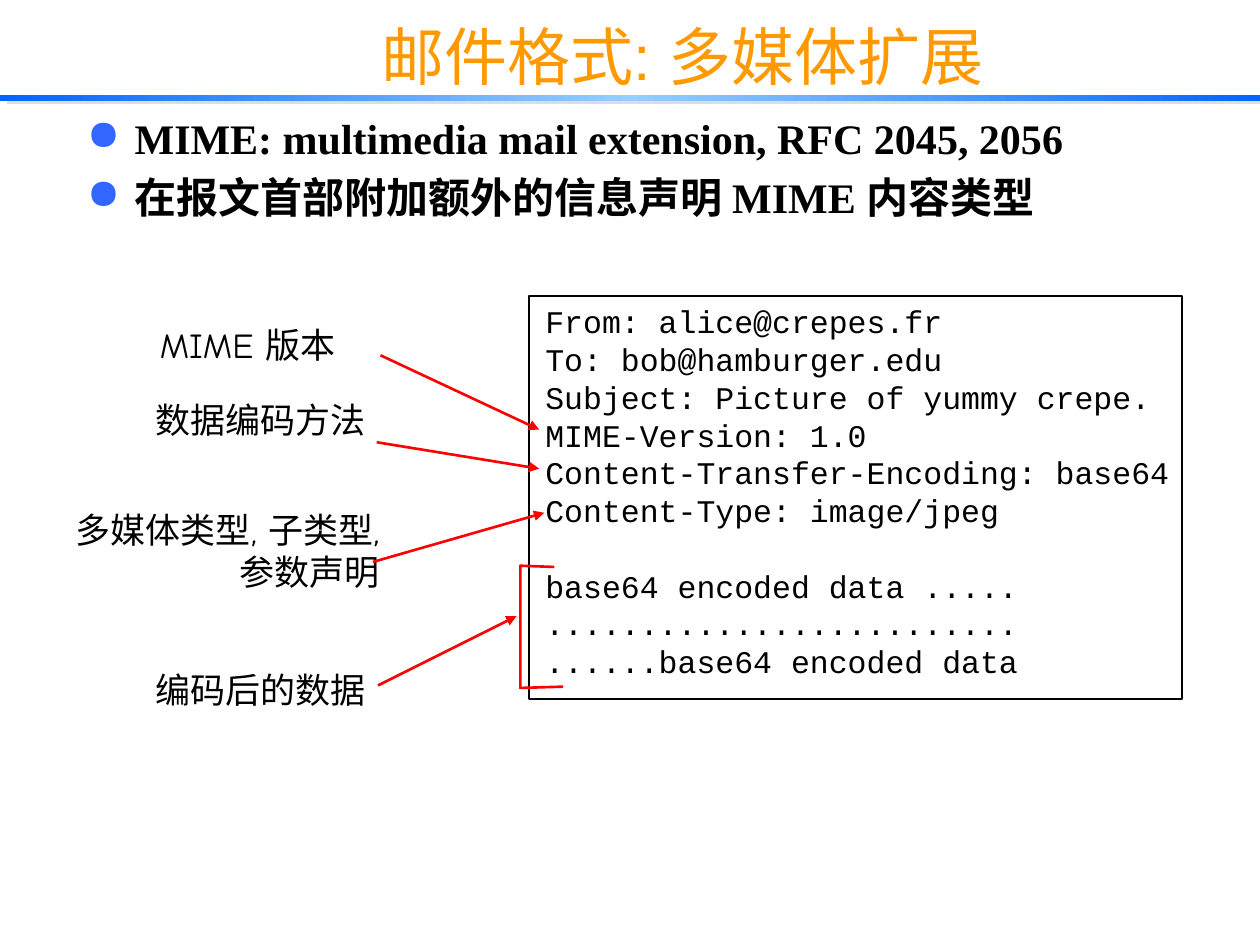
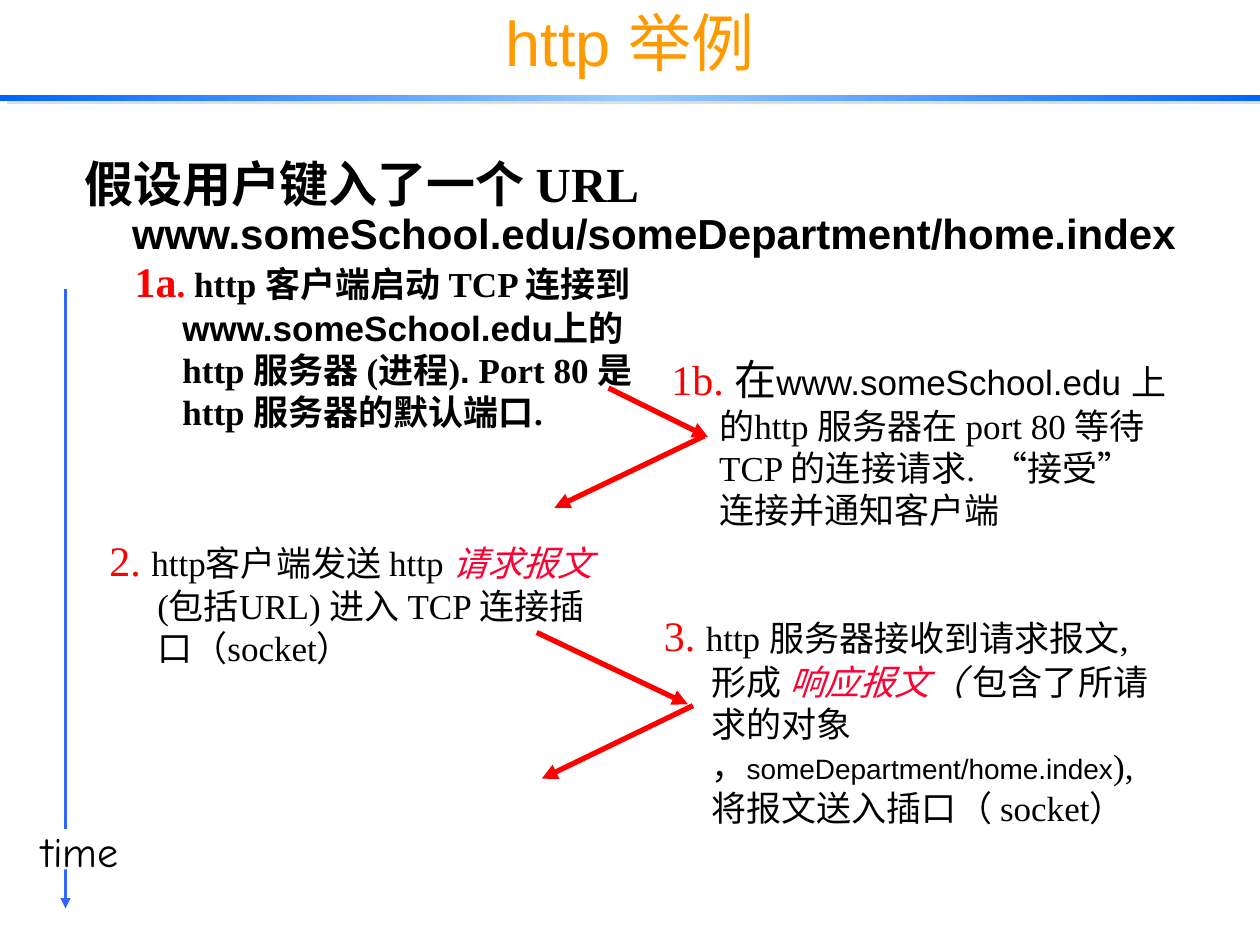
"""Build two lecture slides on MIME mail extensions and an HTTP exchange."""
import copy

import lxml.etree
import pptx
import pptx.dml.color
import pptx.enum.shapes
import pptx.enum.text
import pptx.oxml.ns
import pptx.util

BLACK = pptx.dml.color.RGBColor(0x00, 0x00, 0x00)
WHITE = pptx.dml.color.RGBColor(0xFF, 0xFF, 0xFF)
ORANGE = pptx.dml.color.RGBColor(0xFF, 0x99, 0x00)
RED = pptx.dml.color.RGBColor(0xFF, 0x00, 0x00)
CRIMSON = pptx.dml.color.RGBColor(0xFF, 0x00, 0x33)
BLUE = pptx.dml.color.RGBColor(0x33, 0x66, 0xFF)
BAND_BLUE = pptx.dml.color.RGBColor(0x00, 0x66, 0xFF)
BAND_LIGHT = pptx.dml.color.RGBColor(0x99, 0xCC, 0xFF)
BAND_SHADOW = pptx.dml.color.RGBColor(0xDD, 0xDD, 0xDD)

SANS, SERIF, MONO, COMIC = "Arial", "Times New Roman", "Courier New", "Comic Neue"
LEFT, CENTER, RIGHT = (
    pptx.enum.text.PP_ALIGN.LEFT,
    pptx.enum.text.PP_ALIGN.CENTER,
    pptx.enum.text.PP_ALIGN.RIGHT,
)
RECTANGLE = pptx.enum.shapes.MSO_SHAPE.RECTANGLE
HANGING = pptx.util.Inches(0.38)
SHADOW = (
    '<a:effectLst xmlns:a="http://schemas.openxmlformats.org/drawingml/2006/main">'
    '<a:outerShdw blurRad="0" dist="{}" dir="{}" algn="ctr" rotWithShape="0">'
    '<a:srgbClr val="{}"/></a:outerShdw></a:effectLst>'
)

presentation = pptx.Presentation()
presentation.slide_width = pptx.util.Inches(10)
presentation.slide_height = pptx.util.Inches(7.5)
COLUMN = presentation.slide_width / 100
ROW = presentation.slide_height / 75


def write_text(slide, box, paragraphs, align=LEFT, wrap=True, middle=False, hanging=False,
               bullet=None, before=0, spacing=None, shadow=False, **style):
    """Add a text box; each run's changes of style carry on to the runs after it."""
    left, top, width, height = box
    shape = slide.shapes.add_textbox(
        round(left * COLUMN), round(top * ROW), round(width * COLUMN), round(height * ROW))
    frame = shape.text_frame
    frame.word_wrap = wrap
    if middle:
        frame.vertical_anchor = pptx.enum.text.MSO_ANCHOR.MIDDLE
    for index, runs in enumerate(paragraphs):
        paragraph = frame.paragraphs[0] if index == 0 else frame.add_paragraph()
        paragraph.alignment = align
        paragraph.space_before = pptx.util.Pt(before)
        if spacing:
            paragraph.line_spacing = spacing
        properties = paragraph._p.get_or_add_pPr()
        if hanging:
            properties.set("marL", str(HANGING))
            properties.set("indent", str(-HANGING))
        if bullet:
            color = lxml.etree.SubElement(properties, pptx.oxml.ns.qn("a:buClr"))
            lxml.etree.SubElement(color, pptx.oxml.ns.qn("a:srgbClr"), val=str(BLUE))
            lxml.etree.SubElement(properties, pptx.oxml.ns.qn("a:buChar"), char=bullet)
        current = {"color": BLACK, "bold": False, "italic": False, **style}
        for text, changes in [(runs, {})] if isinstance(runs, str) else runs:
            current.update(changes)
            run = paragraph.add_run()
            run.text = text
            run.font.size = pptx.util.Pt(current["size"])
            run.font.name = current["font"]
            run.font.bold = current["bold"]
            run.font.italic = current["italic"]
            run.font.color.rgb = current["color"]
            if shadow:
                latin = run._r.rPr.find(pptx.oxml.ns.qn("a:latin"))
                latin.addprevious(lxml.etree.fromstring(SHADOW.format(25400, 2700000, BLACK)))
    return shape


def draw_arrow(slide, start, end, color, width):
    """Add a straight line with an arrowhead at its end."""
    connector = slide.shapes.add_connector(
        pptx.enum.shapes.MSO_CONNECTOR.STRAIGHT,
        round(start[0] * COLUMN), round(start[1] * ROW),
        round(end[0] * COLUMN), round(end[1] * ROW))
    connector.line.color.rgb = color
    connector.line.width = pptx.util.Pt(width)
    properties = connector._element.spPr
    outline = properties.find(pptx.oxml.ns.qn("a:ln"))
    lxml.etree.SubElement(outline, pptx.oxml.ns.qn("a:tailEnd"), type="triangle")
    lxml.etree.SubElement(properties, pptx.oxml.ns.qn("a:effectLst"))


titles = [
    ("邮件格式: 多媒体扩展", (8.3, -1.9, 91.7, 12.5)),
    ("http 举例", (7.9, 0.1, 84.2, 6.3)),
]
slides = []
for title, box in titles:
    slide = presentation.slides.add_slide(presentation.slide_layouts[6])
    band = slide.shapes.add_shape(
        RECTANGLE, 0, round(7.5 * ROW), presentation.slide_width, round(0.5 * ROW))
    band.line.fill.background()
    band.fill.gradient()
    band.fill.gradient_angle = 0
    stop_list = band._element.spPr.find(".//" + pptx.oxml.ns.qn("a:gsLst"))
    stop_list.insert(1, copy.deepcopy(stop_list[0]))
    for stop, position, color in zip(
            band.fill.gradient_stops, (0, 0.5, 1), (BAND_BLUE, BAND_LIGHT, BAND_BLUE)):
        stop.position = position
        stop.color.rgb = color
    band._element.spPr.append(
        lxml.etree.fromstring(SHADOW.format(pptx.util.Pt(4.5), 1620000, BAND_SHADOW)))
    write_text(slide, box, [title], align=CENTER, middle=True, shadow=True,
               size=36, font=SANS, color=ORANGE)
    slides.append(slide)
mime_slide, http_slide = slides

write_text(
    mime_slide, (5.9, 8.4, 80.1, 50.8),
    ["MIME: multimedia mail extension, RFC 2045, 2056",
     "在报文首部附加额外的信息声明 MIME 内容类型"],
    hanging=True, bullet="●", before=5, size=24, font=SERIF, bold=True)

message = write_text(
    mime_slide, (42.3, 23.5, 54.4, 34),
    ["From: alice@crepes.fr",
     "To: bob@hamburger.edu",
     "Subject: Picture of yummy crepe.",
     "MIME-Version: 1.0",
     "Content-Transfer-Encoding: base64",
     "Content-Type: image/jpeg",
     "base64 encoded data .....",
     ".........................",
     "......base64 encoded data"],
    size=18, font=MONO)
message.text_frame.paragraphs[6].space_before = pptx.util.Pt(21.5)

frame = mime_slide.shapes.add_shape(
    RECTANGLE, round(42 * COLUMN), round(23.5 * ROW), round(51.8 * COLUMN), round(32 * ROW))
frame.shadow.inherit = False
frame.fill.background()
frame.line.color.rgb = BLACK
frame.line.width = pptx.util.Pt(1)

labels = [
    ((2.8, 39.9, 28.3, 7.7), RIGHT, True,
     ["多媒体类型, 子类型,", [("参数", {}), ("声明", {"font": SERIF})]]),
    ((11.2, 31.1, 18.8, 4.3), RIGHT, False, ["数据编码方法"]),
    ((11.2, 25.2, 16.9, 4.3), CENTER, False, ["MIME 版本"]),
    ((11.3, 52.6, 18.8, 4.3), CENTER, False, ["编码后的数据"]),
]
for box, align, wrap, paragraphs in labels:
    write_text(mime_slide, box, paragraphs, align=align, wrap=wrap, size=20, font=COMIC)

for start, end in [
    ((30.2, 28.2), (42.8, 34.1)),
    ((29.9, 35.1), (42.8, 37.2)),
    ((29.6, 44.6), (43.2, 40.7)),
    ((30, 54.4), (41, 48.9)),
]:
    draw_arrow(mime_slide, start, end, RED, 1.5)

bracket_points = [(round(x * COLUMN), round(y * ROW))
                  for x, y in [(44, 45), (41.3, 44.9), (41.3, 54.6), (44.7, 54.5)]]
builder = mime_slide.shapes.build_freeform(*bracket_points[0])
builder.add_line_segments(bracket_points[1:], close=False)
bracket = builder.convert_to_shape()
bracket.shadow.inherit = False
bracket.fill.background()
bracket.line.color.rgb = RED
bracket.line.width = pptx.util.Pt(1.5)

draw_arrow(http_slide, (5.2, 22.9), (5.2, 72.1), BLUE, 1.5)
time_gap = http_slide.shapes.add_shape(
    RECTANGLE, round(2.6 * COLUMN), round(65.8 * ROW), round(7.2 * COLUMN), round(3.2 * ROW))
time_gap.shadow.inherit = False
time_gap.fill.solid()
time_gap.fill.fore_color.rgb = WHITE
time_gap.line.fill.background()
write_text(http_slide, (1.9, 65, 8.9, 5), ["time"], align=CENTER, wrap=False,
           size=24, font=COMIC)

write_text(
    http_slide, (5.7, 12.2, 91.2, 5.1),
    [[("假设用户键入了一个 URL ", {}),
      ("www.someSchool.edu/someDepartment/home.index", {"size": 24, "font": SANS})]],
    hanging=True, before=5.5, spacing=0.9, size=28, font=SERIF, bold=True)
write_text(
    http_slide, (9.7, 19.8, 41.7, 18.4),
    [[("1a", {}),
      (".", {"size": 20}),
      (" http 客户端启动 TCP 连接到", {"color": BLACK}),
      ("www.someSchool.edu", {"font": SANS}),
      ("上的http 服务器 (进程)", {"font": SERIF}),
      (".", {"font": SANS}),
      (" Port 80 是 http 服务器的默认端口.", {"font": SERIF})]],
    hanging=True, before=5, size=24, font=SERIF, color=RED, bold=True)

steps = [
    ((7.7, 41.9, 41.7, 11.8),
     [("2. ", {}),
      ("http客户端发送 http ", {"size": 20, "color": BLACK}),
      ("请求报文 ", {"color": CRIMSON, "italic": True}),
      ("(包括URL) 进入 TCP 连接插口（socket）", {"color": BLACK, "italic": False})]),
    ((52.3, 27.6, 41.7, 16.5),
     [("1b. ", {}),
      ("在", {"color": BLACK}),
      ("www.someSchool.edu 上的", {"size": 20, "font": SANS}),
      ("http 服务器在 port 80 等待 TCP 的连接请求.  ", {"font": SERIF}),
      ("“", {"font": COMIC}),
      ("接受", {"font": SERIF}),
      ("”", {"font": COMIC}),
      (" 连接并通知客户端", {"font": SERIF})]),
    ((51.7, 47.9, 41.7, 19.7),
     [("3. ", {}),
      ("http 服务器接收到请求报文, 形成 ", {"size": 20, "color": BLACK}),
      ("响应报文", {"color": CRIMSON, "italic": True}),
      ("（", {"color": BLACK}),
      (" 包含了所请求的对象 ，", {"italic": False}),
      ("someDepartment/home.index", {"size": 16, "font": SANS}),
      ("), 将报文送入插口（ socket）", {"size": 20, "font": SERIF})]),
]
for box, runs in steps:
    write_text(http_slide, box, [runs], hanging=True, size=24, font=SERIF, color=RED)

for start, end in [
    ((48.3, 30.8), (56.2, 34.7)),
    ((55.9, 34.6), (44, 40.3)),
    ((42.6, 50.2), (54.6, 55.9)),
    ((55, 56), (43, 61.8)),
]:
    draw_arrow(http_slide, start, end, RED, 3)

presentation.save("out.pptx")
